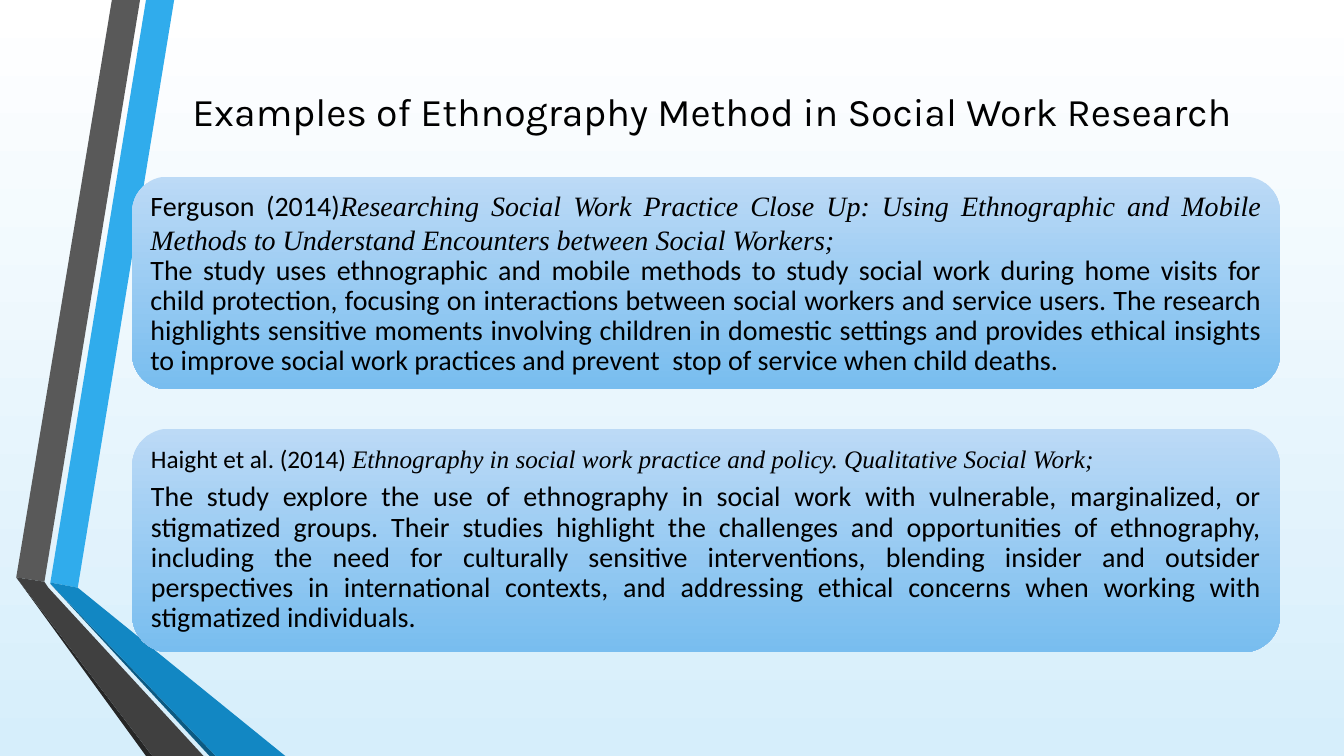
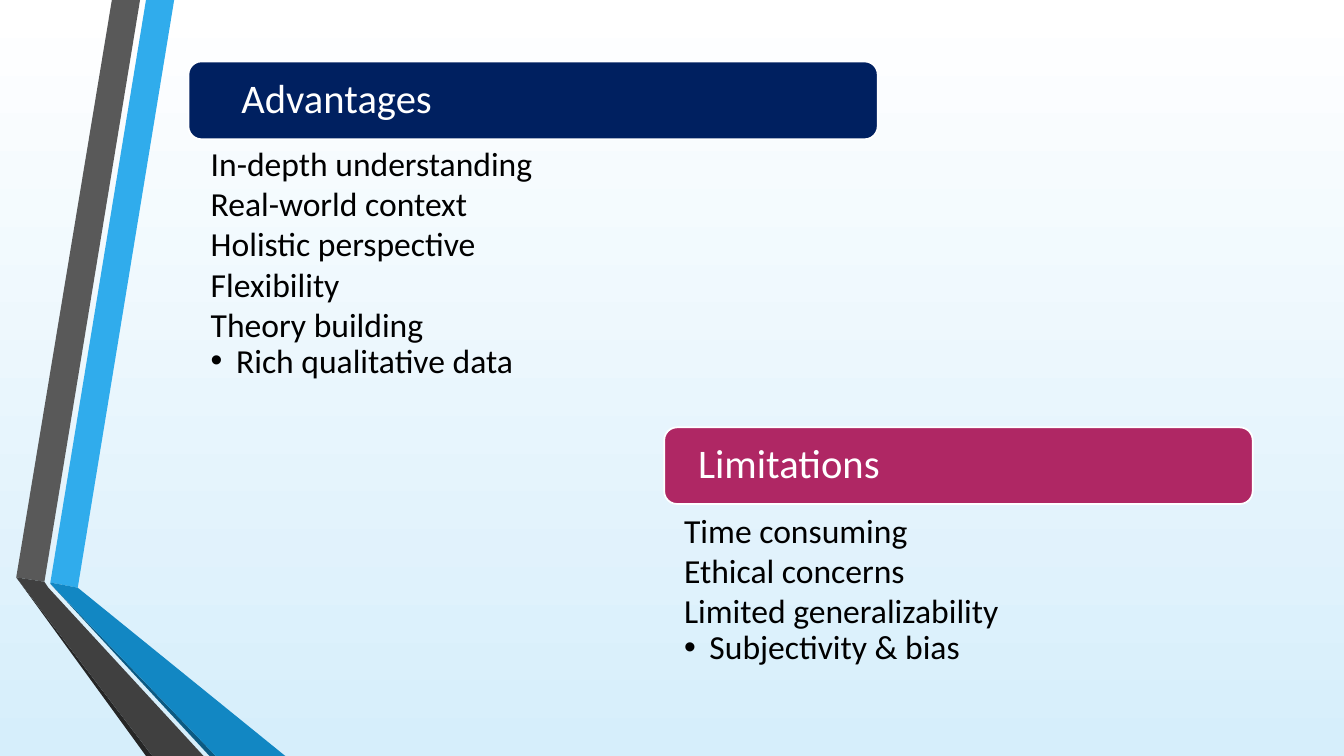
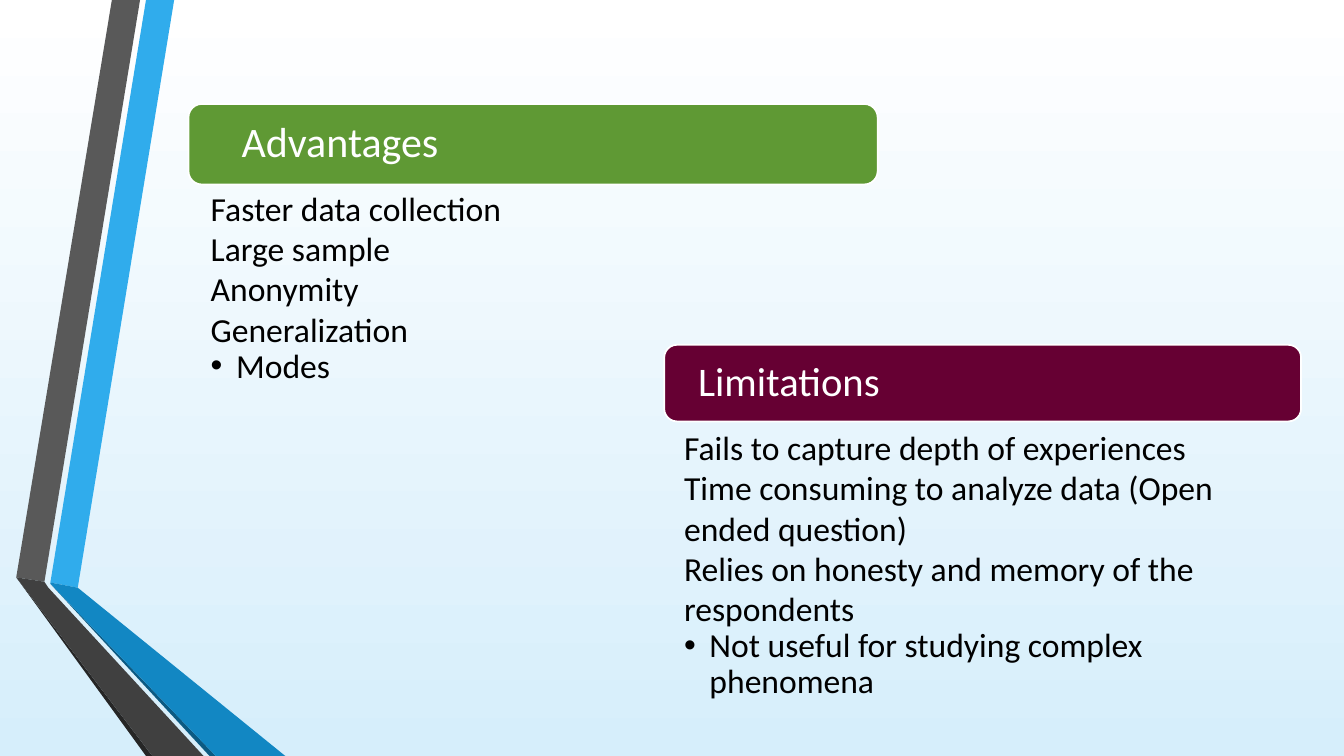
from dataclasses import dataclass
from typing import Any

from lxml import etree
from pptx import Presentation
from pptx import util as u
from pptx.dml.color import RGBColor
from pptx.enum import shapes, text
from pptx.oxml.ns import qn

Cm, Pt = u.Cm, u.Pt


# Theme: colours, fonts and type sizes
@dataclass(frozen=True)
class Theme:
    background: tuple[str, str] = ("FFFFFF", "D6EEFB")
    card: tuple[str, str] = ("BCDAF6", "78BDEF")
    ink: str = "000000"
    white: str = "FFFFFF"
    navy: str = "002060"
    magenta: str = "AF2764"
    green: str = "5F9934"
    maroon: str = "660033"
    title_font: str = "Karla"
    body_font: str = "Calibri"
    citation_font: str = "Times New Roman"
    title_size: float = 28
    header_size: float = 29
    list_size: float = 24
    card_size: float = 20
    source_size: float = 18


THEME = Theme()


# Content types; all lengths are in centimetres
@dataclass(frozen=True)
class Ribbon:
    color: str
    points: tuple[tuple[float, float], ...]


@dataclass(frozen=True)
class StudyCard:
    top: float
    height: float
    source: str
    source_size: float
    source_format: dict[str, Any]
    citation: str
    summary: str


@dataclass(frozen=True)
class Column:
    left: float
    header_inset: float
    list_inset: float
    list_gap: float


@dataclass(frozen=True)
class Panel:
    column: Column
    header: str
    color: str
    top: float
    width: float
    bar_height: float
    list_height: float
    items: tuple[str, ...]
    header_size: float = THEME.header_size


RIBBONS = (
    Ribbon("30ACEC", ((1.27, 14.68), (1.96, 14.81), (4.39, 0), (3.68, 0))),
    Ribbon("595959", ((3.53, 0), (2.82, 0), (0.41, 14.55), (1.12, 14.66))),
    Ribbon("262626", ((0.41, 14.55), (3.68, 19.05), (3.84, 19.05))),
    Ribbon("0C5A82", ((1.27, 14.71), (5.28, 19.05), (5.44, 19.05))),
    Ribbon("1287C3", ((1.27, 14.71), (5.44, 19.05), (7.19, 19.05),
                      (1.96, 14.81), (1.27, 14.68))),
    Ribbon("404040", ((5.13, 19.05), (1.22, 14.81), (1.12, 14.66),
                      (0.41, 14.55), (3.84, 19.05))),
)

CARD_LEFT, CARD_WIDTH = 3.33, 28.93
TIGHT = {"line_spacing": 0.9, "space_after": Pt(6)}

STUDIES = (
    StudyCard(
        4.45, 5.36, "Ferguson (2014)", THEME.card_size, {},
        "Researching Social Work Practice Close Up: Using Ethnographic and "
        "Mobile Methods to Understand Encounters between Social Workers;",
        "The study uses ethnographic and mobile methods to study social work "
        "during home visits for child protection, focusing on interactions "
        "between social workers and service users. The research highlights "
        "sensitive moments involving children in domestic settings and "
        "provides ethical insights to improve social work practices and "
        "prevent  stop of service when child deaths."),
    StudyCard(
        10.8, 5.64, "Haight et al. (2014) ", THEME.source_size, TIGHT,
        "Ethnography in social work practice and policy. Qualitative Social "
        "Work;",
        "The study explore the use of ethnography in social work with "
        "vulnerable, marginalized, or stigmatized groups. Their studies "
        "highlight the challenges and opportunities of ethnography, including "
        "the need for culturally sensitive interventions, blending insider "
        "and outsider perspectives in international contexts, and addressing "
        "ethical concerns when working with stigmatized individuals."),
)

LEFT = Column(4.75, 1.24, 0.56, 0)
RIGHT = Column(16.74, 0.76, 0.5, 0.06)

ETHNOGRAPHY = (
    Panel(LEFT, "Advantages", THEME.navy, 1.55, 17.37, 1.96, 6.83,
          ("In-depth understanding", "Real-world context",
           "Holistic perspective", "Flexibility", "Theory building",
           "Rich qualitative data")),
    Panel(RIGHT, "Limitations", THEME.magenta, 10.77, 14.83, 1.93, 4.6,
          ("Time consuming", "Ethical concerns", "Limited generalizability",
           "Subjectivity & bias")),
)

SURVEY = (
    Panel(LEFT, "Advantages", THEME.green, 2.62, 17.37, 2.03, 5.66,
          ("Faster data collection", "Large sample", "Anonymity",
           "Generalization", "Modes"), 30),
    Panel(RIGHT, "Limitations", THEME.maroon, 8.69, 16.05, 1.93, 7.37,
          ("Fails to capture depth of experiences",
           "Time consuming to analyze data (Open ended question)",
           "Relies on honesty and memory of the respondents",
           "Not useful for studying complex phenomena")),
)


# Formatting helpers
def assign(target: Any, values: dict[str, Any]) -> None:
    for name, value in values.items():
        setattr(target, name, value)


def place(shape: Any, left: float, top: float, width: float,
          height: float) -> None:
    assign(shape, {"left": Cm(left), "top": Cm(top),
                   "width": Cm(width), "height": Cm(height)})


def set_frame(frame: Any, left: float, right: float, edge: float,
              anchor: Any) -> None:
    assign(frame, {"word_wrap": True, "auto_size": text.MSO_AUTO_SIZE.NONE,
                   "vertical_anchor": anchor,
                   "margin_left": Cm(left), "margin_right": Cm(right),
                   "margin_top": Cm(edge), "margin_bottom": Cm(edge)})


def add_run(paragraph: Any, words: str, size: float,
            font: str = THEME.body_font, color: str = THEME.ink,
            italic: bool = False) -> None:
    run = paragraph.add_run()
    run.text = words
    assign(run.font, {"size": Pt(size), "name": font, "italic": italic})
    run.font.color.rgb = RGBColor.from_string(color)


def fill_solid(fill: Any, color: str) -> None:
    fill.solid()
    fill.fore_color.rgb = RGBColor.from_string(color)


def fill_downward(fill: Any, colors: tuple[str, str]) -> None:
    fill.gradient()
    fill.gradient_angle = 270
    for stop, color in zip(fill.gradient_stops, colors):
        stop.color.rgb = RGBColor.from_string(color)


def set_bullet(paragraph: Any, bulleted: bool) -> None:
    properties = paragraph._p.get_or_add_pPr()
    hang = Cm(0.64) if bulleted else 0
    properties.set("marL", str(hang))
    properties.set("indent", str(-hang))
    if bulleted:
        font = etree.SubElement(properties, qn("a:buFont"))
        font.set("typeface", "Arial")
        etree.SubElement(properties, qn("a:buChar")).set("char", "•")
    else:
        etree.SubElement(properties, qn("a:buNone"))


def add_rounded(slide: Any, left: float, top: float, width: float,
                height: float) -> Any:
    shape = slide.shapes.add_shape(
        shapes.MSO_SHAPE.ROUNDED_RECTANGLE,
        Cm(left), Cm(top), Cm(width), Cm(height))
    shape.shadow.inherit = False
    return shape


# Shared background and ribbons, kept on the slide master
def dress_master(master: Any, drawing_slide: Any) -> None:
    fill_downward(master.background.fill, THEME.background)
    for number, ribbon in enumerate(RIBBONS, start=100):
        start, *others = [(Cm(x), Cm(y)) for x, y in ribbon.points]
        builder = drawing_slide.shapes.build_freeform(*start)
        builder.add_line_segments(others, close=True)
        band = builder.convert_to_shape()
        band.shadow.inherit = False
        fill_solid(band.fill, ribbon.color)
        band.line.fill.background()
        band.element.nvSpPr.cNvPr.id = number
        master.shapes.element.append(band.element)


# Slide parts
def add_study(slide: Any, study: StudyCard) -> None:
    card = add_rounded(slide, CARD_LEFT, study.top, CARD_WIDTH, study.height)
    fill_downward(card.fill, THEME.card)
    card.line.fill.background()
    frame = card.text_frame
    set_frame(frame, 0.2, 0.2, 0.2, text.MSO_ANCHOR.MIDDLE)
    heading, summary = frame.paragraphs[0], frame.add_paragraph()
    assign(heading, study.source_format)
    summary.line_spacing = 0.9
    for paragraph in (heading, summary):
        paragraph.alignment = text.PP_ALIGN.JUSTIFY
    add_run(heading, study.source, study.source_size)
    add_run(heading, study.citation, study.source_size,
            THEME.citation_font, italic=True)
    add_run(summary, study.summary, THEME.card_size)


def add_panel(slide: Any, panel: Panel, points: Any) -> None:
    column = panel.column
    bar = add_rounded(slide, column.left, panel.top, panel.width,
                      panel.bar_height)
    fill_solid(bar.fill, panel.color)
    fill_solid(bar.line.fill, THEME.white)
    bar.line.width = Pt(1.25)
    set_frame(bar.text_frame, column.header_inset, 0.3, 0.3,
              text.MSO_ANCHOR.MIDDLE)
    header = bar.text_frame.paragraphs[0]
    assign(header, {"alignment": text.PP_ALIGN.LEFT, "line_spacing": 0.9})
    add_run(header, panel.header, panel.header_size, color=THEME.white)

    place(points, column.left, panel.top + panel.bar_height + column.list_gap,
          panel.width, panel.list_height)
    frame = points.text_frame
    set_frame(frame, column.list_inset, 0.48, 0.08, text.MSO_ANCHOR.TOP)
    for index, item in enumerate(panel.items):
        paragraph = frame.add_paragraph() if index else frame.paragraphs[0]
        last = index == len(panel.items) - 1
        assign(paragraph, {"alignment": text.PP_ALIGN.LEFT,
                           "line_spacing": 0.9 if last else 1.0,
                           "space_before": Pt(0), "space_after": Pt(0)})
        set_bullet(paragraph, last)
        add_run(paragraph, item, THEME.list_size)


# Slides
def add_examples_slide(deck: Any) -> Any:
    slide = deck.slides.add_slide(deck.slide_layouts.get_by_name("Title Only"))
    title = slide.shapes.title
    place(title, 3.33, 0.81, 29.21, 3.94)
    set_frame(title.text_frame, 0.25, 0.25, 0.13, text.MSO_ANCHOR.MIDDLE)
    heading = title.text_frame.paragraphs[0]
    heading.alignment = text.PP_ALIGN.CENTER
    add_run(heading, "Examples of Ethnography Method in Social Work Research",
            THEME.title_size, THEME.title_font)
    for study in STUDIES:
        add_study(slide, study)
    return slide


def add_comparison_slide(deck: Any, panels: tuple[Panel, ...]) -> None:
    slide = deck.slides.add_slide(
        deck.slide_layouts.get_by_name("Two Content"))
    title, *lists = list(slide.placeholders)
    title.element.getparent().remove(title.element)
    for panel, points in zip(panels, lists):
        add_panel(slide, panel, points)


def main() -> None:
    deck = Presentation()
    assign(deck, {"slide_width": Cm(33.87), "slide_height": Cm(19.05)})
    examples = add_examples_slide(deck)
    dress_master(deck.slide_master, examples)
    for panels in (ETHNOGRAPHY, SURVEY):
        add_comparison_slide(deck, panels)
    deck.save("out.pptx")


if __name__ == "__main__":
    main()
